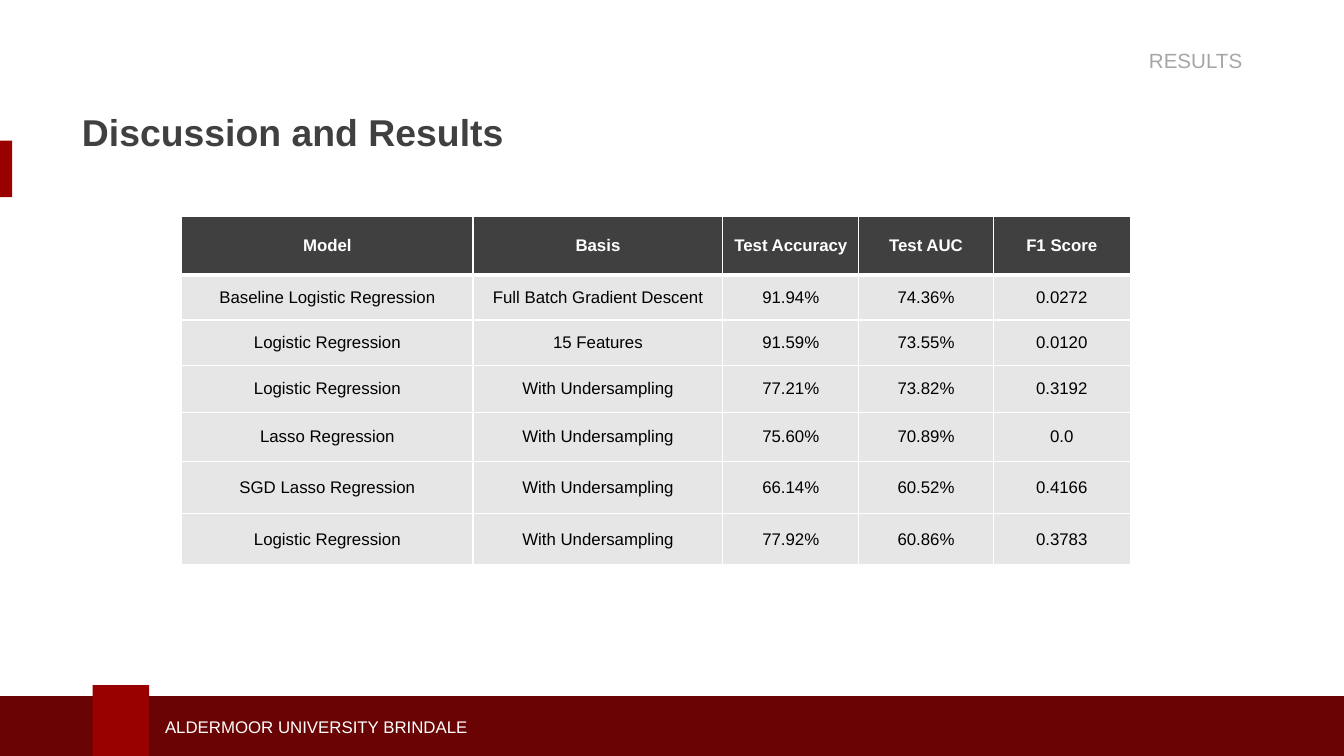
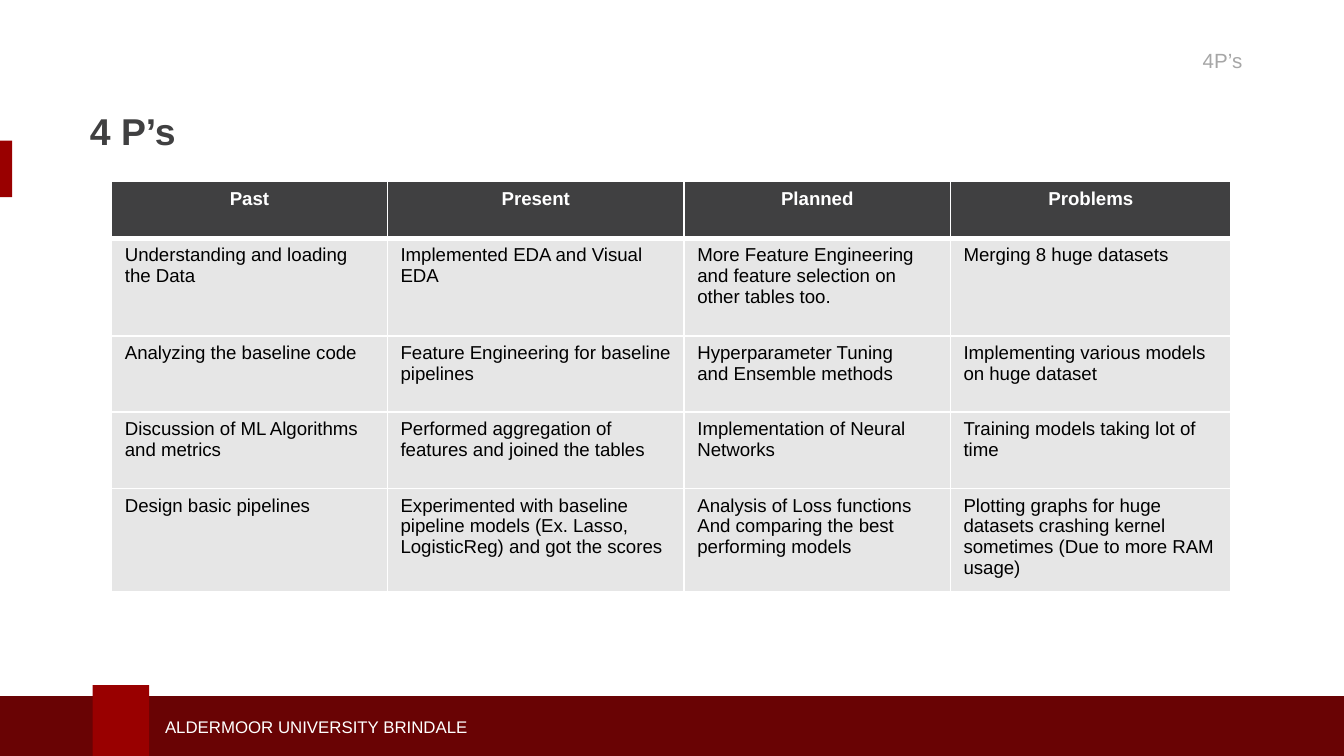
"""Build two results slides that share a title style, side tab and footer band."""
from typing import NamedTuple, Optional

import pptx
import pptx.dml.color
import pptx.enum.shapes
import pptx.enum.text
import pptx.oxml
import pptx.oxml.ns
import pptx.util
from pptx.util import Cm

FONT = "Arial"
CRIMSON, MAROON = "990000", "690304"
WHITE, BLACK = "FFFFFF", "000000"
CHARCOAL, GRAY, LIGHT = "404041", "A6A6A6", "E6E6E6"
LEFT, CENTER, RIGHT = (
    pptx.enum.text.PP_ALIGN.LEFT,
    pptx.enum.text.PP_ALIGN.CENTER,
    pptx.enum.text.PP_ALIGN.RIGHT,
)
TOP, MIDDLE = pptx.enum.text.MSO_ANCHOR.TOP, pptx.enum.text.MSO_ANCHOR.MIDDLE


class Box(NamedTuple):
    """Left, top, width and height in centimetres."""
    x: float
    y: float
    w: float
    h: float


class Style(NamedTuple):
    """Look of a block of text."""
    size: float
    color: str
    bold: bool = False
    align: pptx.enum.text.PP_ALIGN = LEFT
    anchor: pptx.enum.text.MSO_ANCHOR = MIDDLE


class Grid(NamedTuple):
    """Table content, track sizes in centimetres and cell look."""
    x: float
    y: float
    cols: list[float]
    rows: list[float]
    cells: list[list[str]]
    size: float
    align: pptx.enum.text.PP_ALIGN
    anchor: pptx.enum.text.MSO_ANCHOR
    margin: tuple[float, float]
    border: float


class Page(NamedTuple):
    """One slide with its title, corner label and table."""
    title: str
    title_box: Box
    label: str
    grid: Grid


BARS = [
    (Box(0, 2.66, 0.23, 1.07), CRIMSON),
    (Box(0, 13.16, 25.4, 1.13), MAROON),
    (Box(1.75, 12.95, 1.07, 1.34), CRIMSON),
]
FOOTER = "ALDERMOOR UNIVERSITY BRINDALE"
FOOTER_BOX = Box(2.87, 13.41, 10.03, 0.64)
LABEL_BOX = Box(13.44, 0.79, 10.29, 0.71)
FOOTER_STYLE = Style(9, WHITE)
TITLE_STYLE = Style(20, CHARCOAL, bold=True)
LABEL_STYLE = Style(11, GRAY, align=RIGHT, anchor=TOP)

RESULTS = Grid(
    3.43, 4.09,
    [5.51, 4.72, 2.57, 2.54, 2.59],
    [1.1, 0.86, 0.86, 0.89, 0.92, 0.99, 0.97],
    [
        ["Model", "Basis", "Test Accuracy", "Test AUC", "F1 Score"],
        ["Baseline Logistic Regression", "Full Batch Gradient Descent", "91.94%", "74.36%", "0.0272"],
        ["Logistic Regression", "15 Features", "91.59%", "73.55%", "0.0120"],
        ["Logistic Regression", "With Undersampling", "77.21%", "73.82%", "0.3192"],
        ["Lasso Regression", "With Undersampling", "75.60%", "70.89%", "0.0"],
        ["SGD Lasso Regression", "With Undersampling", "66.14%", "60.52%", "0.4166"],
        ["Logistic Regression", "With Undersampling", "77.92%", "60.86%", "0.3783"],
    ],
    9, CENTER, MIDDLE, (0.18, 0.1), 0.8,
)
FOUR_PS = Grid(
    2.11, 3.43,
    [5.21, 5.61, 5.03, 5.31],
    [1.07, 1.85, 1.44, 1.44, 1.82],
    [
        ["Past", "Present", "Planned", "Problems"],
        [
            "Understanding and loading the Data",
            "Implemented EDA and Visual EDA",
            "More Feature Engineering and feature selection on other tables too.",
            "Merging 8 huge datasets",
        ],
        [
            "Analyzing the baseline code",
            "Feature Engineering for baseline pipelines",
            "Hyperparameter Tuning\nand Ensemble methods",
            "Implementing various models on huge dataset",
        ],
        [
            "Discussion of ML Algorithms and metrics",
            "Performed aggregation of features and joined the tables",
            "Implementation of Neural Networks",
            "Training models taking lot of time",
        ],
        [
            "Design basic pipelines",
            "Experimented with baseline pipeline models (Ex. Lasso, LogisticReg) and got the scores",
            "Analysis of Loss functions\nAnd comparing the best performing models",
            "Plotting graphs for huge datasets crashing kernel sometimes (Due to more RAM usage)",
        ],
    ],
    10, LEFT, TOP, (0.25, 0.13), 1,
)
PAGES = [
    Page("Discussion and Results", Box(1.3, 1.52, 22.22, 1.93), "RESULTS", RESULTS),
    Page("4 P’s", Box(1.45, 1.5, 22.22, 1.93), "4P’s", FOUR_PS),
]


def rgb(color: str) -> pptx.dml.color.RGBColor:
    """Turn a hex string into a colour."""
    return pptx.dml.color.RGBColor.from_string(color)


def place(box: Box) -> list[pptx.util.Length]:
    """Convert a box to slide lengths."""
    return [Cm(v) for v in box]


def write(tf, text: str, style: Style) -> None:
    """Fill a text frame, one paragraph per line."""
    tf.text = text
    tf.word_wrap = True
    for p in tf.paragraphs:
        p.alignment = style.align
        p.font.name = FONT
        p.font.size = pptx.util.Pt(style.size)
        p.font.bold = style.bold
        p.font.color.rgb = rgb(style.color)


def add_text(s, box: Box, text: str, style: Style) -> None:
    """Add a wrapped text box."""
    tf = s.shapes.add_textbox(*place(box)).text_frame
    tf.vertical_anchor = style.anchor
    write(tf, text, style)


def add_bar(s, box: Box, color: str) -> None:
    """Add a plain filled rectangle."""
    sp = s.shapes.add_shape(pptx.enum.shapes.MSO_SHAPE.RECTANGLE, *place(box))
    sp.shadow.inherit = False
    sp.fill.solid()
    sp.fill.fore_color.rgb = rgb(color)
    sp.line.fill.background()


def set_border(cell, side: str, width: float) -> None:
    """Draw a white line on one side of a cell."""
    cell._tc.get_or_add_tcPr().append(pptx.oxml.parse_xml(
        f'<a:ln{side} {pptx.oxml.ns.nsdecls("a")} w="{pptx.util.Pt(width)}">'
        f'<a:solidFill><a:srgbClr val="{WHITE}"/></a:solidFill></a:ln{side}>'
    ))


def add_grid(s, grid: Grid) -> None:
    """Add a table with a dark header row above light rows."""
    box = Box(grid.x, grid.y, sum(grid.cols), sum(grid.rows))
    table = s.shapes.add_table(len(grid.rows), len(grid.cols), *place(box)).table
    table.horz_banding = False
    for col, width in zip(table.columns, grid.cols):
        col.width = Cm(width)
    head = Style(grid.size, WHITE, True, CENTER)
    body = Style(grid.size, BLACK, False, grid.align)
    for i, (row, height) in enumerate(zip(table.rows, grid.rows)):
        row.height = Cm(height)
        for cell, text in zip(row.cells, grid.cells[i]):
            write(cell.text_frame, text, body if i else head)
            cell.vertical_anchor = grid.anchor
            cell.margin_left = cell.margin_right = Cm(grid.margin[0])
            cell.margin_top = cell.margin_bottom = Cm(grid.margin[1])
            for side in "LRTB":
                thick = (i, side) in ((0, "B"), (1, "T"))
                set_border(cell, side, grid.border * (3 if thick else 1))
            cell.fill.solid()
            cell.fill.fore_color.rgb = rgb(LIGHT if i else CHARCOAL)


def add_page(prs, page: Page) -> None:
    """Add a slide with the shared frame and its own content."""
    s = prs.slides.add_slide(prs.slide_layouts[6])
    for box, color in BARS:
        add_bar(s, box, color)
    add_text(s, FOOTER_BOX, FOOTER, FOOTER_STYLE)
    add_text(s, page.title_box, page.title, TITLE_STYLE)
    add_text(s, LABEL_BOX, page.label, LABEL_STYLE)
    add_grid(s, page.grid)


def main() -> None:
    """Build and save the slides."""
    prs = pptx.Presentation()
    prs.slide_width, prs.slide_height = Cm(25.4), Cm(14.29)
    for page in PAGES:
        add_page(prs, page)
    prs.save("out.pptx")


if __name__ == "__main__":
    main()
